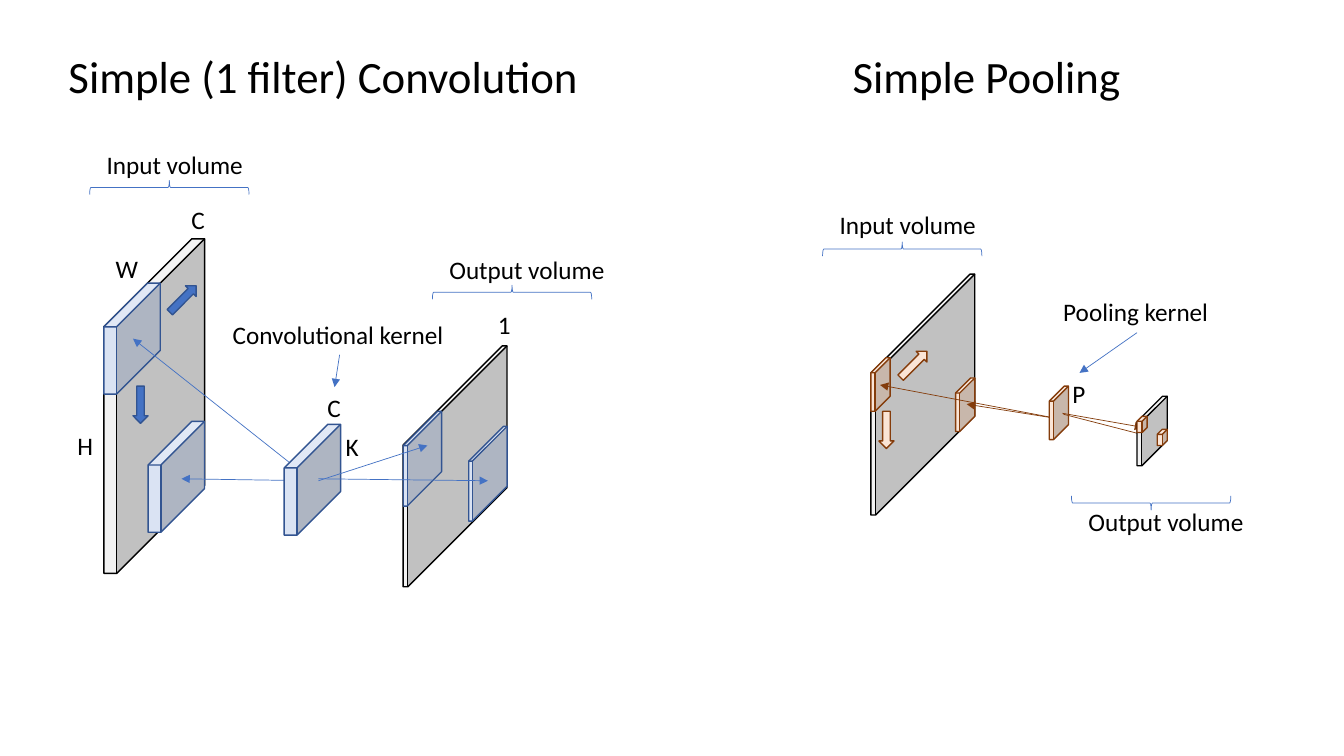
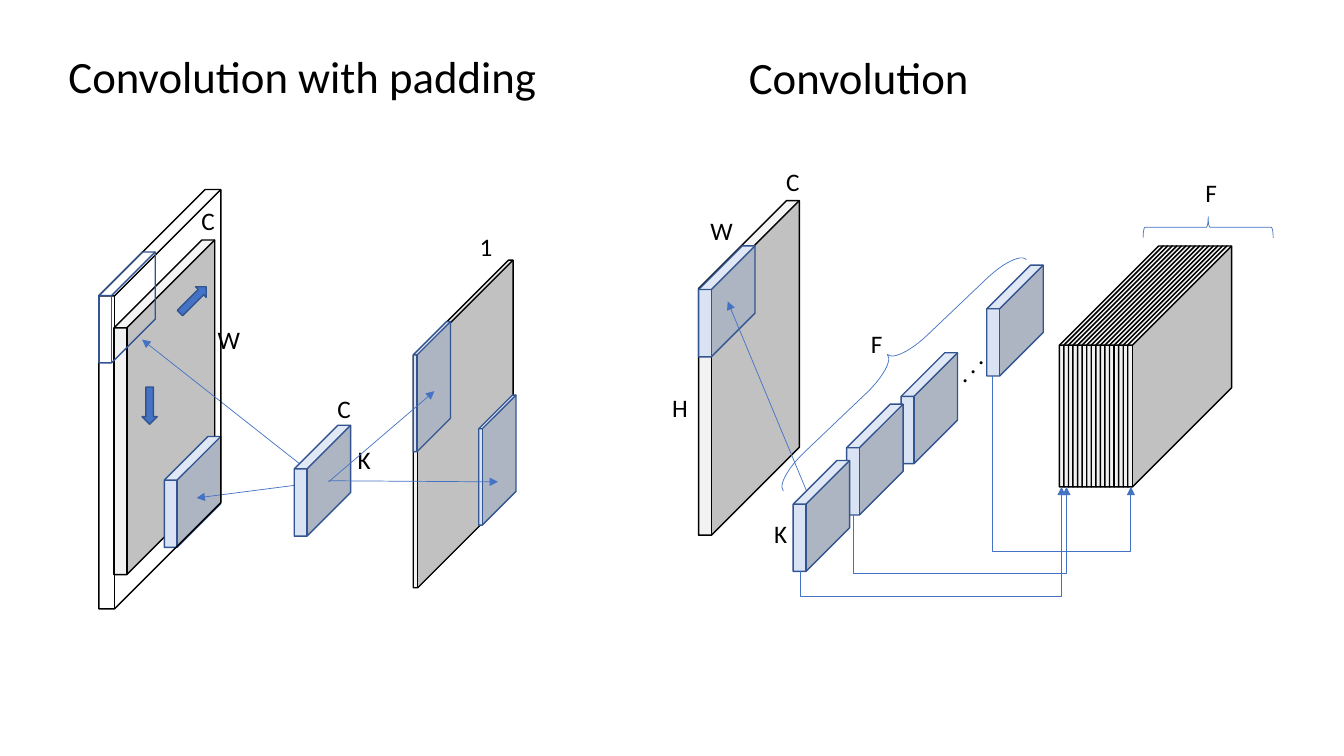
from dataclasses import dataclass
from typing import NamedTuple, Optional

from lxml import etree
from pptx import Presentation
from pptx.dml.color import RGBColor
from pptx.enum.shapes import MSO_CONNECTOR, MSO_SHAPE
from pptx.enum.text import MSO_AUTO_SIZE
from pptx.oxml.ns import qn
from pptx.util import Pt

CUBE, DOWN, BRACE = MSO_SHAPE.CUBE, MSO_SHAPE.DOWN_ARROW, MSO_SHAPE.LEFT_BRACE
LINE, BENT = MSO_CONNECTOR.STRAIGHT, MSO_CONNECTOR.ELBOW
GROW = MSO_AUTO_SIZE.SHAPE_TO_FIT_TEXT


# Theme
class Skin(NamedTuple):
    fill: Optional[str]
    edge: str
    width: float = 1


@dataclass(frozen=True)
class Theme:
    font: str = "Calibri"
    ink: str = "000000"
    head: float = 32
    body: float = 18
    thin: float = 0.5
    blue: str = "4472C4"
    brown: str = "843C0B"
    grey: Skin = Skin("F2F2F2", "000000")
    pale: Skin = Skin("DAE3F3", "325491")
    solid: Skin = Skin("4472C4", "325491")
    peach: Skin = Skin("FBE5D6", "843C0B")
    clear: Skin = Skin(None, "000000")
    frame: Skin = Skin(None, "325491")


T = Theme()
WIDTHS = {
    "Simple (1 filter) Convolution": 383, "Simple Pooling": 208.1,
    "Convolution with padding": 352.8, "Convolution": 173.5,
    "Input volume": 113, "Output volume": 126.7,
    "Convolutional kernel": 167, "Pooling kernel": 119.5, ". . .": 36.7,
    "H": 25.9, "W": 31, "C": 24.5, "K": 23.8, "P": 23.8, "1": 23.8, "F": 23,
}


# Kinds of parts
class Label(NamedTuple):
    text: str
    x: float
    y: float
    size: float = T.body
    turn: float = 0


class Form(NamedTuple):
    kind: int
    x: float
    y: float
    w: float
    h: float
    skin: Skin
    bends: tuple = ()
    turn: float = 0


class Arrow(NamedTuple):
    x: float
    y: float
    to_x: float
    to_y: float
    color: str = T.blue


class Elbow(NamedTuple):
    x: float
    y: float
    to_x: float
    to_y: float
    low: float


class Stack(NamedTuple):
    first: Form
    count: int
    step: float


# Makers of repeated forms
def title(text: str, x: float, y: float) -> Label:
    return Label(text, x, y, T.head)


def cube(x: float, y: float, w: float, h: float, bend: float,
         skin: Skin = T.grey) -> Form:
    return Form(CUBE, x, y, w, h, skin, (bend,))


def input_cube(x: float, y: float) -> Form:
    return cube(x, y, 72, 239, 0.872)


def sheet(x: float, y: float) -> Form:
    return cube(x, y, 74.2, 172.1, 0.955)


def kernel(x: float, y: float, skin: Skin = T.pale) -> Form:
    return cube(x, y, 40.3, 79.2, 0.773, skin)


def pool(x: float, y: float) -> Form:
    return cube(x, y, 13.7, 38.2, 0.783, T.peach)


def cell(x: float, y: float) -> Form:
    return cube(x, y, 7.2, 11.5, 0.493, T.peach)


def move(x: float, y: float, skin: Skin = T.solid, turn: float = 0) -> Form:
    return Form(DOWN, x, y, 10.8, 26.6, skin, (), turn)


def climb(x: float, y: float, skin: Skin = T.solid) -> Form:
    return move(x, y, skin, 224.9)


def brace(x: float, y: float, w: float = 10.1, h: float = 113.8,
          turn: float = 90, bends: tuple = ()) -> Form:
    return Form(BRACE, x, y, w, h, Skin(None, T.blue, T.thin), bends, turn)


# Drawing
def draw_label(shapes, part: Label) -> None:
    high = 46.1 if part.size == T.head else 29
    box = shapes.add_textbox(Pt(part.x), Pt(part.y),
                             Pt(WIDTHS[part.text]), Pt(high))
    box.rotation = part.turn
    frame = box.text_frame
    frame.text = part.text
    frame.word_wrap = False
    frame.auto_size = GROW
    font = frame.paragraphs[0].runs[0].font
    font.name, font.size = T.font, Pt(part.size)
    font.color.rgb = RGBColor.from_string(T.ink)


def draw_form(shapes, part: Form) -> None:
    shape = shapes.add_shape(part.kind, Pt(part.x), Pt(part.y),
                             Pt(part.w), Pt(part.h))
    shape.shadow.inherit = False
    shape.rotation = part.turn
    for i, bend in enumerate(part.bends):
        shape.adjustments[i] = bend
    if part.skin.fill:
        shape.fill.solid()
        shape.fill.fore_color.rgb = RGBColor.from_string(part.skin.fill)
    else:
        shape.fill.background()
    shape.line.color.rgb = RGBColor.from_string(part.skin.edge)
    shape.line.width = Pt(part.skin.width)


def add_line(shapes, kind: int, ends: tuple, color: str):
    line = shapes.add_connector(kind, *(Pt(v) for v in ends))
    line.line.color.rgb = RGBColor.from_string(color)
    line.line.width = Pt(T.thin)
    props = line.element.spPr
    etree.SubElement(props.find(qn("a:ln")), qn("a:tailEnd"), type="triangle")
    etree.SubElement(props, qn("a:effectLst"))
    return props


def draw_arrow(shapes, part: Arrow) -> None:
    add_line(shapes, LINE, part[:4], part.color)


def draw_elbow(shapes, part: Elbow) -> None:
    # The box lies on its side and is turned about its centre
    rise = part.to_y - part.y
    mid_x, mid_y = (part.x + part.to_x) / 2, (part.y + part.to_y) / 2
    half_w = abs(rise) / 2
    half_h = (part.to_x - part.x) / 2 * (1 if rise < 0 else -1)
    ends = (mid_x + half_w, mid_y + half_h, mid_x - half_w, mid_y - half_h)
    props = add_line(shapes, BENT, ends, T.blue)
    turn = 90 if rise < 0 else 270
    props.find(qn("a:xfrm")).set("rot", str(turn * 60000))
    bend = round((part.low - part.y) / rise * 100000)
    guides = props.find(qn("a:prstGeom")).find(qn("a:avLst"))
    etree.SubElement(guides, qn("a:gd"), name="adj1", fmla=f"val {bend}")


def draw_stack(shapes, part: Stack) -> None:
    group = shapes.add_group_shape()
    for i in range(part.count):
        x = part.first.x + i * part.step
        draw_form(group.shapes, part.first._replace(x=x))


DRAW = {Label: draw_label, Form: draw_form, Arrow: draw_arrow,
        Elbow: draw_elbow, Stack: draw_stack}

# Slide 1: one filter, and pooling
SIMPLE = [
    title("Simple (1 filter) Convolution", 41.8, 31),
    input_cube(74.2, 170.6), kernel(74.2, 202.3),
    Arrow(223.2, 343.4, 95, 241.9),
    Label("H", 48.2, 303.8), Label("W", 75.6, 177.1),
    Label("C", 129.6, 142.6), Label("K", 239.8, 304.6),
    sheet(288, 247), cube(288, 293.8, 27.4, 67.7, 0.895, T.pale),
    move(95, 275.8), climb(125.3, 200.2),
    kernel(105.8, 301), Arrow(222.5, 343.4, 129.6, 342),
    kernel(203, 303.1), cube(334.8, 304.6, 27.4, 67.7, 0.906, T.pale),
    Arrow(227.5, 342, 348.5, 343.4), Arrow(227.5, 343.4, 305.3, 318.2),
    Label("C", 226.8, 276.5), Label("1", 348.5, 217.4),
    # Pooling
    title("Simple Pooling", 601.9, 31),
    sheet(622.1, 195.8), pool(622.1, 255.6), pool(682.6, 270),
    climb(647.3, 247, T.peach), move(627.8, 293.8, T.peach),
    Label("P", 758.9, 266.4),
    Arrow(758.2, 299.5, 628.6, 275, T.brown),
    Arrow(758.2, 299.5, 690.5, 288.7, T.brown),
    pool(749.5, 275.8),
    Arrow(758.9, 295.2, 816.5, 305.3, T.brown),
    Arrow(759.6, 295.9, 829.4, 313.9, T.brown),
    cube(812.2, 283, 21.6, 49.7, 0.843),
    cell(812.2, 297.4), cell(826.6, 306.7),
    # Captions
    brace(115.9, 77), Label("Input volume", 69.1, 103),
    Label("Convolutional kernel", 159.1, 224.6),
    Arrow(242.6, 253.4, 239, 276.5),
    brace(360.7, 151.9), Label("Output volume", 313.9, 177.8),
    brace(639.4, 121), Label("Input volume", 592.6, 146.2),
    brace(817.2, 302.4, turn=270), Label("Output volume", 770.4, 357.8),
    Label("Pooling kernel", 752.4, 208.1),
    Arrow(812.2, 237.6, 771.1, 266.4),
]

# Slide 2: padding, and many filters
FULL = [
    title("Convolution with padding", 41.8, 31),
    kernel(643.7, 252), title("Convolution", 527.8, 31.7),
    input_cube(499, 143.3), kernel(499, 175.7),
    kernel(604.8, 288.7), kernel(704.9, 189.4),
    Label(". . .", 672.5, 247, turn=311.6),
    Arrow(580.3, 360.7, 519.8, 215.3), kernel(566.6, 329),
    Stack(sheet(756.7, 175.7), 16, 3.26),
    Elbow(571.7, 408.2, 758.2, 347.8, 426.2),
    Elbow(609.8, 367.9, 761.8, 347.8, 409.7),
    Elbow(709.2, 268.6, 807.8, 347.8, 393.8),
    Label("H", 473, 276.5), Label("W", 500.4, 150.5),
    Label("C", 554.4, 115.2), Label("K", 545.8, 366.5),
    brace(630, 141.1, 19.4, 239.8, 46.4, (1.546, 0.495)),
    Label("F", 614.9, 231.1),
    brace(855.4, 115.9, 15.1, 92.9), Label("F", 853.9, 123.1),
    # Padding
    input_cube(81.4, 171.4), Arrow(230.4, 344.2, 101.5, 242.6),
    Label("W", 148.3, 228.2), Label("C", 136.8, 143.3),
    Label("K", 248.4, 313.9),
    cube(295.2, 185.8, 71.3, 234, 0.955),
    cube(295.2, 229.7, 26.6, 92.9, 0.895, T.pale),
    move(101.5, 276.5), climb(132.5, 200.9),
    kernel(117.4, 311.8), Arrow(229.7, 344.2, 140.4, 355.7),
    kernel(210.2, 303.8), cube(342, 282.2, 26.6, 92.9, 0.906, T.pale),
    Arrow(234.7, 343.4, 355.7, 344.2), Arrow(234.7, 344.2, 310.3, 279.4),
    Label("C", 234, 277.2), Label("1", 335.5, 162),
    cube(70.6, 135.4, 87.1, 299.5, 0.872, T.clear),
    kernel(70.6, 180, T.frame),
]

# Build
deck = Presentation()
deck.slide_width, deck.slide_height = Pt(960), Pt(540)
for parts in (SIMPLE, FULL):
    slide = deck.slides.add_slide(deck.slide_layouts[6])
    for part in parts:
        DRAW[type(part)](slide.shapes, part)
deck.save("out.pptx")
